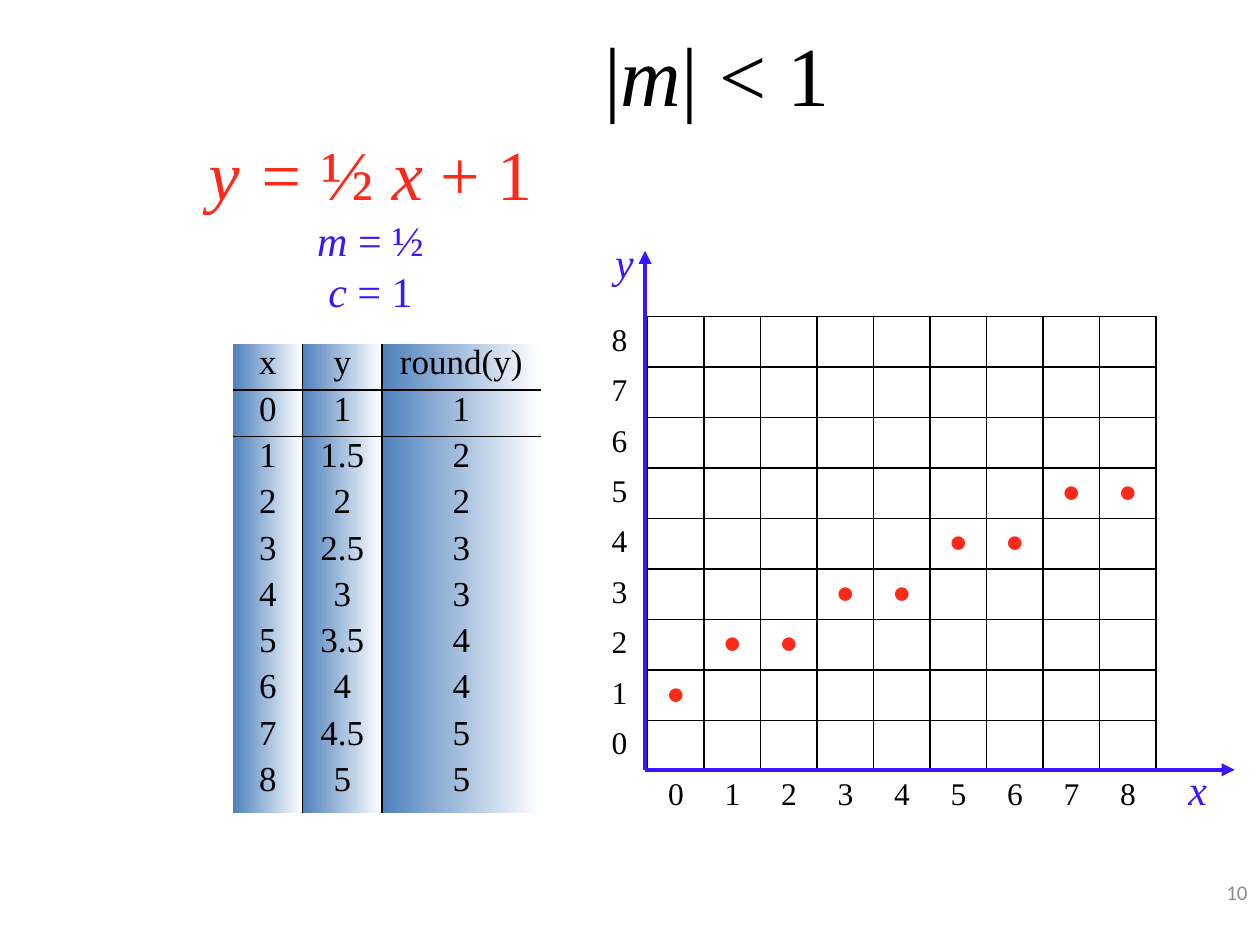
"""Build a slide showing a line with slope below one, its values and its plotted pixels."""
from dataclasses import dataclass

from lxml import etree
from pptx import Presentation
from pptx.dml.color import RGBColor
from pptx.enum import text
from pptx.oxml import ns
from pptx.util import Pt

BLACK = RGBColor(0x00, 0x00, 0x00)
RED = RGBColor(0xFD, 0x29, 0x19)
BLUE = RGBColor(0x38, 0x17, 0xFF)
STEEL = RGBColor(0x4F, 0x81, 0xBD)
WHITE = RGBColor(0xFF, 0xFF, 0xFF)
GREY = RGBColor(0x8C, 0x8C, 0x8C)
SERIF = "Times New Roman"
NO_STYLE = "{2D5ABB26-0587-4C30-8999-92F81FD0307C}"
CENTER = text.PP_ALIGN.CENTER
LAST = 8


@dataclass
class Box:
    left: float
    top: float
    width: float
    height: float

    def lengths(self) -> tuple:
        return Pt(self.left), Pt(self.top), Pt(self.width), Pt(self.height)


@dataclass
class Line:
    runs: list
    size: float
    color: RGBColor
    font: str = SERIF
    align: text.PP_ALIGN = CENTER


@dataclass
class Axis:
    end: tuple
    label: str
    label_box: Box


def write_line(p, line: Line) -> None:
    p.alignment = line.align
    p.font.size, p.font.name = Pt(line.size), line.font
    p.font.color.rgb = line.color
    for words, italic in line.runs:
        r = p.add_run()
        r.text, r.font.italic = words, italic


def write_box(sp, lines: list, wrap: bool = True) -> None:
    tf = sp.text_frame
    tf.word_wrap = wrap
    tf.auto_size = text.MSO_AUTO_SIZE.SHAPE_TO_FIT_TEXT
    for i, line in enumerate(lines):
        write_line(tf.add_paragraph() if i else tf.paragraphs[0], line)


def add_label(s, box: Box, lines: list, wrap: bool = True):
    sp = s.shapes.add_textbox(*box.lengths())
    write_box(sp, lines, wrap)
    return sp


def add_plain_table(s, box: Box, widths: list, heights: list):
    frame = s.shapes.add_table(len(heights), len(widths), *box.lengths())
    table = frame.table
    table.first_row = table.horz_banding = False
    table._tbl.tblPr.find(ns.qn("a:tableStyleId")).text = NO_STYLE
    for column, width in zip(table.columns, widths):
        column.width = Pt(width)
    for row, height in zip(table.rows, heights):
        row.height = Pt(height)
    frame.height = Pt(box.height)
    return table


def set_borders(cell, sides: str) -> None:
    for side in sides:
        ln = etree.SubElement(cell._tc.get_or_add_tcPr(), ns.qn("a:ln" + side), w=str(Pt(1)))
        fill = etree.SubElement(ln, ns.qn("a:solidFill"))
        etree.SubElement(fill, ns.qn("a:srgbClr"), val=str(BLACK))


def add_value_table(s) -> None:
    rows = [("x", "y", "round(y)")]
    rows += [(str(x), f"{x / 2 + 1:g}", str(int(x / 2 + 1.5))) for x in range(LAST + 1)]
    table = add_plain_table(s, Box(133.2, 196.4, 175.7, 267.8), [39.7, 45.4, 90.6], [22.7] * 9 + [30.2])
    for i, row in enumerate(rows):
        for j, value in enumerate(row):
            cell = table.cell(i, j)
            sides = ("L" if j else "") + ("R" if j < 2 else "")
            sides += ("T" if i == 1 else "") + ("B" if i == 0 else "")
            set_borders(cell, sides)
            cell.fill.gradient()
            cell.fill.gradient_angle = 0
            for stop, color in zip(cell.fill.gradient_stops, (STEEL, WHITE)):
                stop.color.rgb = color
            p = cell.text_frame.paragraphs[0]
            p.line_spacing = 0.8
            write_line(p, Line([(value, None)], 20, BLACK))


def add_pixel_grid(s) -> None:
    count = LAST + 2
    table = add_plain_table(s, Box(337.8, 181, 323, 288), [32.3] * count, [28.2] * count)
    for i in range(count):
        for j in range(count):
            x, y = j - 1, LAST - i
            cell, value, color = table.cell(i, j), "", BLACK
            if x >= 0 and y >= 0:
                set_borders(cell, "LRTB")
                if y == int(x / 2 + 1.5):
                    value, color = "●", RED
            elif y >= 0:
                set_borders(cell, "R")
                value = str(y)
            elif x >= 0:
                set_borders(cell, "T")
                value = str(x)
            cell.fill.background()
            p = cell.text_frame.paragraphs[0]
            if value:
                write_line(p, Line([(value, None)], 18, color))
            else:
                p._p.get_or_add_endParaRPr().set("sz", "1200")


def add_axis(s, origin: tuple, axis: Axis) -> None:
    line = s.shapes.add_connector(1, *map(Pt, origin + axis.end))
    line.line.color.rgb, line.line.width = BLUE, Pt(2.5)
    etree.SubElement(line.line._get_or_add_ln(), ns.qn("a:tailEnd"), type="triangle")
    etree.SubElement(line._element.spPr, ns.qn("a:effectLst"))
    add_label(s, axis.label_box, [Line([(axis.label, True)], 24, BLUE)], wrap=False)


def main() -> None:
    prs = Presentation()
    prs.slide_width, prs.slide_height = Pt(720), Pt(540)
    s = prs.slides.add_slide(prs.slide_layouts[5])

    title = s.shapes.title
    title.left, title.top, title.width, title.height = Box(321.8, 9.4, 175.7, 64.8).lengths()
    write_box(title, [Line([("|", None), ("m", True), ("| < 1", None)], 48, BLACK)])
    title.text_frame.vertical_anchor = text.MSO_ANCHOR.TOP

    add_value_table(s)
    number = Line([("10", None)], 12, GREY, "Calibri", text.PP_ALIGN.RIGHT)
    sp = add_label(s, Box(570.2, 491.8, 149.8, 36), [number])
    sp.text_frame.auto_size = text.MSO_AUTO_SIZE.NONE
    sp.text_frame.vertical_anchor = text.MSO_ANCHOR.MIDDLE
    add_pixel_grid(s)

    add_label(s, Box(93.6, 71.3, 236.2, 113), [
        Line([("y = ", True), ("½ ", None), ("x", True), (" + 1", None)], 40, RED),
        Line([("m ", True), ("= ½", None)], 24, BLUE),
        Line([("c ", True), ("= 1", None)], 24, BLUE),
    ])
    for axis in (
        Axis((368.6, 143.3), "y", Box(344.2, 131.8, 25.2, 36)),
        Axis((705.6, 439.9), "x", Box(671.8, 432.7, 25.2, 36)),
    ):
        add_axis(s, (368.6, 439.9), axis)

    prs.save("out.pptx")


if __name__ == "__main__":
    main()
